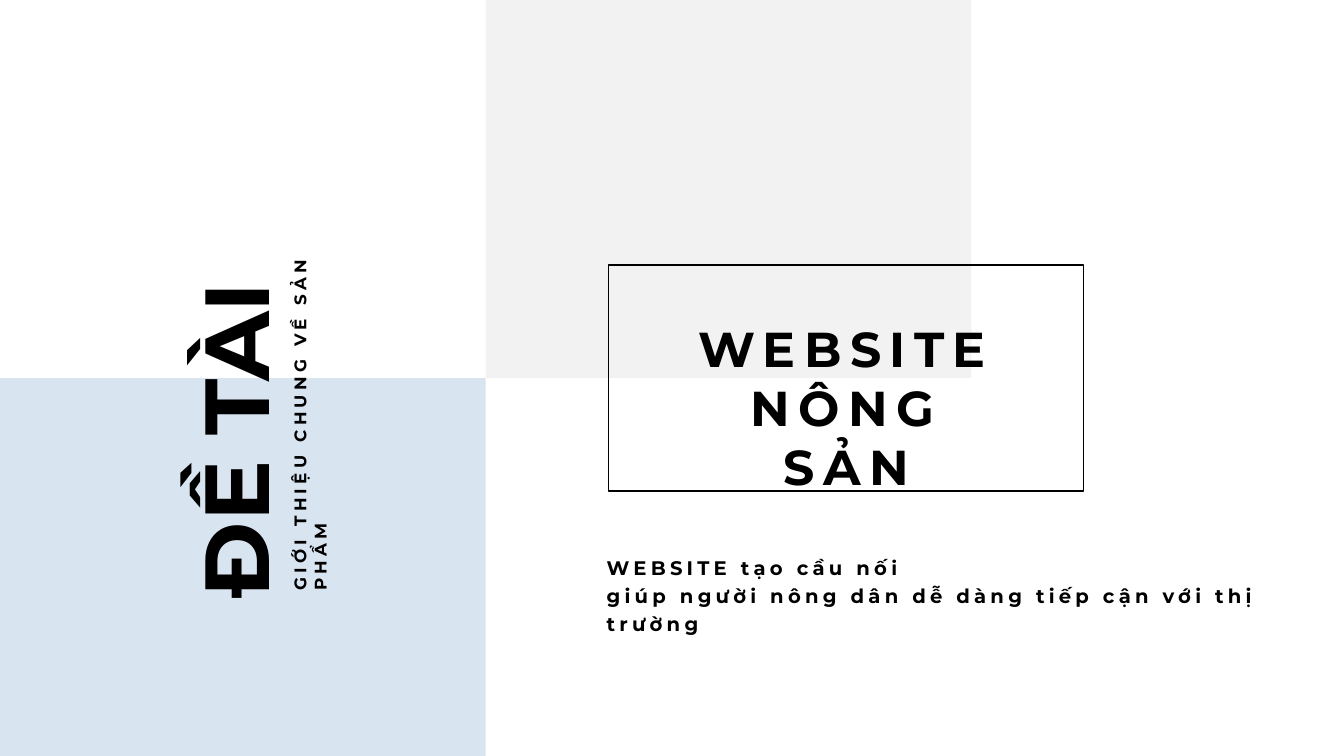
from lxml.etree import SubElement
from pptx import Presentation
from pptx.dml.color import RGBColor
from pptx.enum.shapes import MSO_SHAPE
from pptx.enum.text import MSO_AUTO_SIZE, PP_ALIGN
from pptx.oxml.ns import qn
from pptx.util import Cm, Pt

BLACK = RGBColor(0x00, 0x00, 0x00)
BLUE = RGBColor(0xC1, 0xD3, 0xE9)

PAGE_WIDTH, PAGE_HEIGHT = 33.87, 19.05
PANEL_WIDTH, PANEL_HEIGHT = 12.24, PAGE_HEIGHT / 2


def add_text(para, text, size, spacing=0, color=BLACK, font="Montserrat"):
    """Add bold text to a paragraph; spacing is the letter spacing in points."""
    span = para.add_run()
    span.text = text
    span.font.name = font
    span.font.size = Pt(size)
    span.font.bold = True
    span.font.color.rgb = color
    if spacing:
        span.font._element.set("spc", str(spacing * 100))


class CoverPage:
    """Style and drawing methods for the current slide; lengths in centimetres."""

    def __init__(self, deck):
        self.shapes = deck.slides.add_slide(deck.slide_layouts[6]).shapes

    def rectangle(self, left, top, width, height):
        box = self.shapes.add_shape(
            MSO_SHAPE.RECTANGLE, Cm(left), Cm(top), Cm(width), Cm(height))
        box.shadow.inherit = False
        return box

    def panel(self, left, top, color, opacity):
        box = self.rectangle(left, top, PANEL_WIDTH, PANEL_HEIGHT)
        box.line.fill.background()
        box.fill.solid()
        box.fill.fore_color.rgb = color
        tint = box._element.spPr.find(".//" + qn("a:srgbClr"))
        SubElement(tint, qn("a:alpha"), val=str(opacity * 1000))

    def frame(self, left, top, width, height):
        box = self.rectangle(left, top, width, height)
        box.fill.background()
        box.line.color.rgb = BLACK
        box.line.width = Pt(1)

    def text(self, left, top, width, height, lines, size, spacing=0,
             rotation=0, align=PP_ALIGN.LEFT, line_spacing=None):
        box = self.shapes.add_textbox(Cm(left), Cm(top), Cm(width), Cm(height))
        box.rotation = rotation
        frame = box.text_frame
        frame.word_wrap = True
        frame.auto_size = MSO_AUTO_SIZE.SHAPE_TO_FIT_TEXT
        for index, line in enumerate(lines):
            para = frame.add_paragraph() if index else frame.paragraphs[0]
            para.alignment = align
            if line_spacing:
                para.line_spacing = Pt(line_spacing)
            add_text(para, line, size, spacing)


def main():
    deck = Presentation()
    deck.slide_width, deck.slide_height = Cm(PAGE_WIDTH), Cm(PAGE_HEIGHT)
    page = CoverPage(deck)

    # Background panels
    page.panel(0, PANEL_HEIGHT, BLUE, opacity=60)
    page.panel(PANEL_WIDTH, 0, BLACK, opacity=5)

    # Vertical heading
    page.text(2.54, 9.73, 10.03, 0.76, ["GIỚI THIỆU CHUNG VỀ SẢN PHẨM"],
              size=12, spacing=3, rotation=270)
    page.text(0.08, 8, 11.63, 3.02, ["ĐỀ TÀI"], size=65, rotation=270)

    # Framed title
    page.frame(15.34, 6.68, 11.96, 5.69)
    page.text(16.81, 7.9, 9.04, 7.75, ["WEBSITE NÔNG SẢN"],
              size=35, spacing=6, align=PP_ALIGN.CENTER)

    # Description
    page.text(15.04, 13.77, 17.3, 1.63,
              ["WEBSITE tạo cầu nối",
               "giúp người nông dân dễ dàng tiếp cận với thị trường"],
              size=14, spacing=3, line_spacing=20)

    deck.save("out.pptx")


if __name__ == "__main__":
    main()
